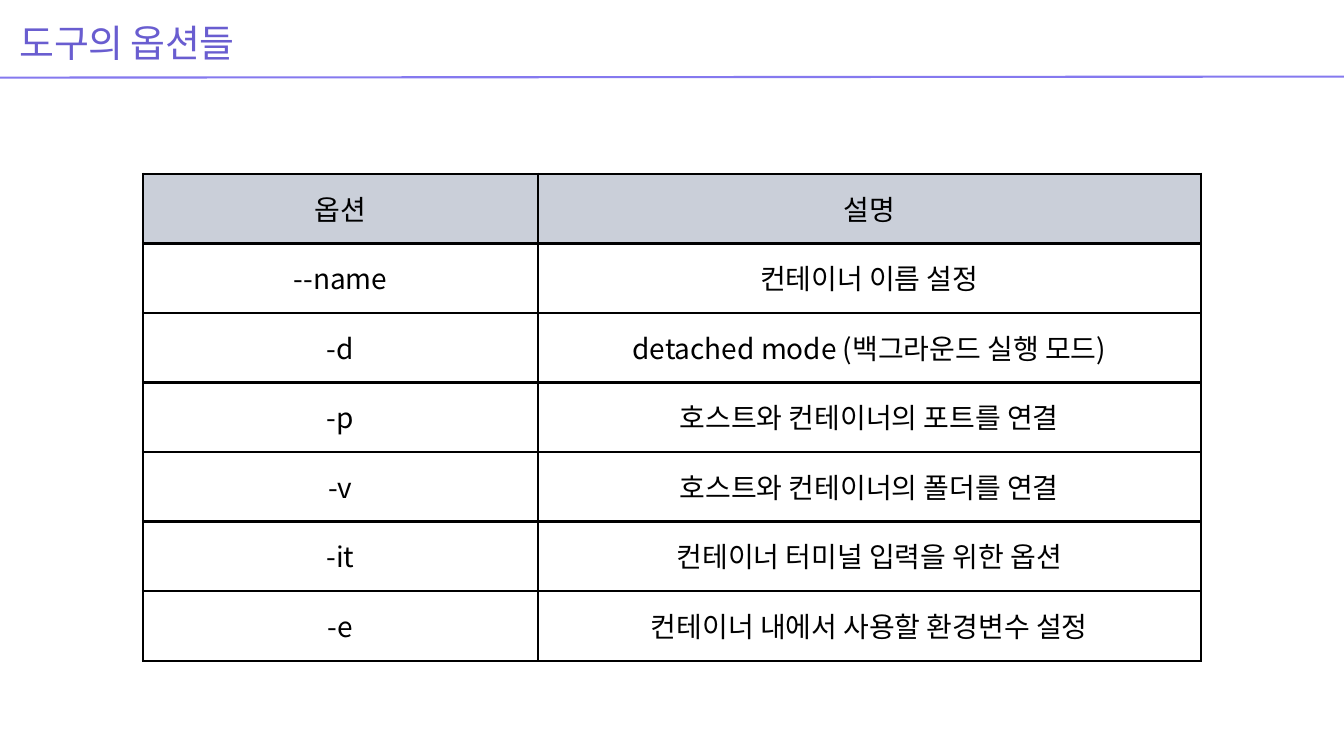
from lxml.etree import SubElement
from pptx import Presentation
from pptx.dml.color import RGBColor
from pptx.enum.shapes import MSO_CONNECTOR as Connector
from pptx.enum.text import MSO_ANCHOR as Anchor, MSO_AUTO_SIZE as AutoSize, PP_ALIGN as Align
from pptx.oxml.ns import qn
from pptx.util import Inches, Pt

WIDTH, HEIGHT = 26.67, 15
FONT = "Noto Sans CJK KR"
COLORS = {
    "title": "695DD0",
    "rule": "8579EF",
    "header": "CACFD9",
    "ink": "000000",
}
COLUMN_WIDTHS = (7.83, 13.16)
ROW_HEIGHT = 1.38
CELL_MARGIN = 0.21
BORDER_WIDTH = 3.75
OPTIONS = [
    ("옵션", "설명"),
    ("--name", "컨테이너 이름 설정"),
    ("-d", "detached mode (백그라운드 실행 모드)"),
    ("-p", "호스트와 컨테이너의 포트를 연결"),
    ("-v", "호스트와 컨테이너의 폴더를 연결"),
    ("-it", "컨테이너 터미널 입력을 위한 옵션"),
    ("-e", "컨테이너 내에서 사용할 환경변수 설정"),
]


def rgb(name):
    return RGBColor.from_string(COLORS[name])


def write_text(frame, text, *, size, leading, color="ink", align=Align.LEFT, tracking=None):
    """Fill a text frame with one paragraph; tracking is in points."""
    para = frame.paragraphs[0]
    para.alignment = align
    para.line_spacing = Pt(leading)
    span = para.add_run()
    span.text = text
    span.font.size = Pt(size)
    span.font.name = FONT
    span.font.color.rgb = rgb(color)
    properties = span.font._element
    SubElement(properties, qn("a:ea"), typeface=FONT)
    if tracking is not None:
        properties.set("spc", str(round(tracking * 100)))


def add_title(page, text):
    box = page.shapes.add_textbox(Inches(0.39), Inches(0.16), Inches(5.13), Inches(1.08))
    frame = box.text_frame
    frame.word_wrap = True
    frame.auto_size = AutoSize.SHAPE_TO_FIT_TEXT
    frame.margin_left = frame.margin_right = frame.margin_top = frame.margin_bottom = 0
    write_text(frame, text, size=54.2, leading=81.3, color="title", tracking=-0.8)


def add_rule(page, start_y, end_y):
    rule = page.shapes.add_connector(
        Connector.STRAIGHT, 0, Inches(start_y), Inches(WIDTH), Inches(end_y))
    rule.line.color.rgb = rgb("rule")
    rule.line.width = Pt(3)
    SubElement(rule._element.spPr, qn("a:effectLst"))


def add_borders(cell):
    properties = cell._tc.get_or_add_tcPr()
    for side in ("lnL", "lnR", "lnT", "lnB"):
        border = SubElement(properties, qn(f"a:{side}"), w=str(Pt(BORDER_WIDTH)))
        fill = SubElement(border, qn("a:solidFill"))
        SubElement(fill, qn("a:srgbClr"), val=COLORS["ink"])


def format_cell(cell, text, is_header):
    margin = Inches(CELL_MARGIN)
    cell.margin_left = cell.margin_right = cell.margin_top = cell.margin_bottom = margin
    cell.vertical_anchor = Anchor.MIDDLE
    add_borders(cell)
    if is_header:
        cell.fill.solid()
        cell.fill.fore_color.rgb = rgb("header")
    else:
        cell.fill.background()
    write_text(cell.text_frame, text, size=40, leading=56, align=Align.CENTER)


def add_option_table(page, rows):
    width, height = sum(COLUMN_WIDTHS), ROW_HEIGHT * len(rows)
    table = page.shapes.add_table(
        len(rows), len(COLUMN_WIDTHS), Inches((WIDTH - width) / 2), Inches(3.45),
        Inches(width), Inches(height)).table
    table.first_row = table.horz_banding = False
    for column, column_width in zip(table.columns, COLUMN_WIDTHS):
        column.width = Inches(column_width)
    for row_index, texts in enumerate(rows):
        table.rows[row_index].height = Inches(ROW_HEIGHT)
        for column_index, text in enumerate(texts):
            format_cell(table.cell(row_index, column_index), text, row_index == 0)


def main():
    deck = Presentation()
    deck.slide_width, deck.slide_height = Inches(WIDTH), Inches(HEIGHT)
    page = deck.slides.add_slide(deck.slide_layouts[6])
    add_rule(page, 1.54, 1.52)
    add_title(page, "도구의 옵션들")
    add_option_table(page, OPTIONS)
    deck.save("out.pptx")


if __name__ == "__main__":
    main()
